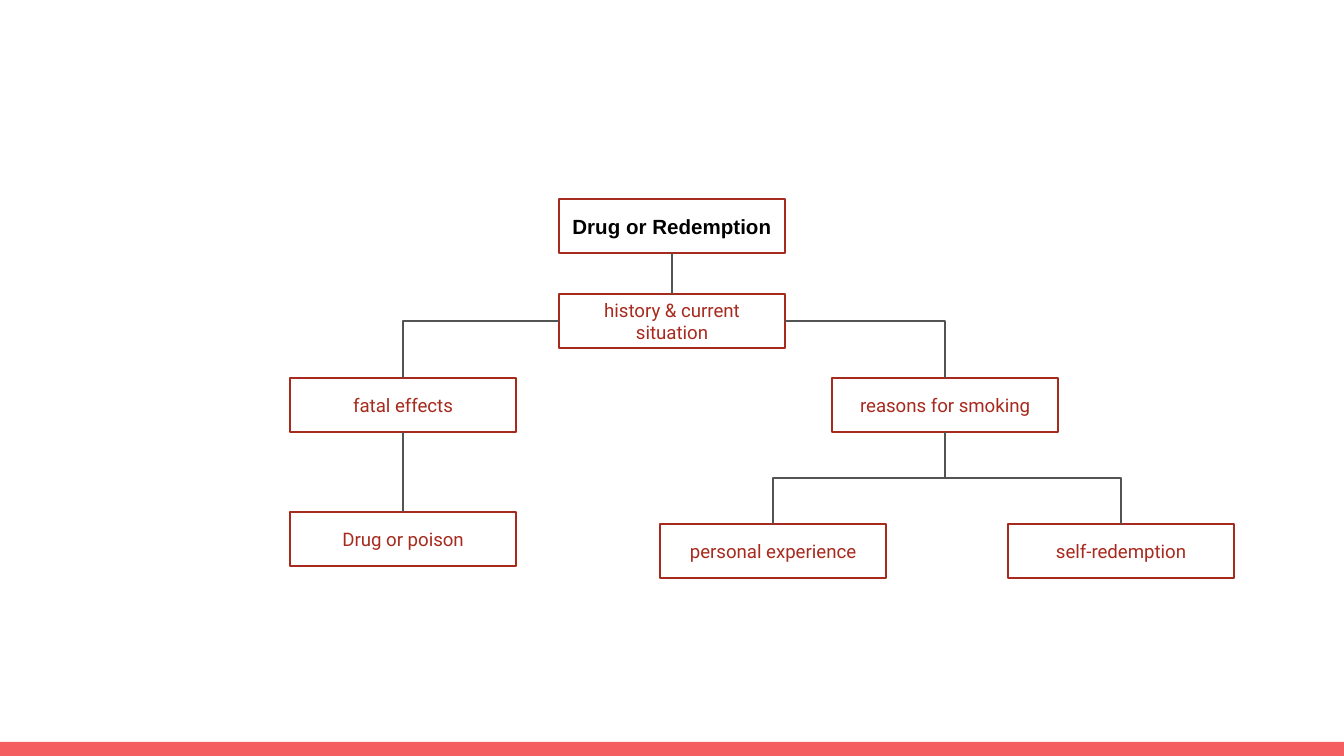
from lxml.etree import SubElement
from pptx import Presentation
from pptx.dml.color import RGBColor
from pptx.enum.shapes import MSO_CONNECTOR, MSO_SHAPE
from pptx.enum.text import MSO_ANCHOR, PP_ALIGN
from pptx.oxml.ns import qn
from pptx.util import Emu, Pt

PAGE_WIDTH, PAGE_HEIGHT = 1344, 756
BOX_WIDTH, BOX_HEIGHT = 226, 54
INSET = 13
FOOTER_HEIGHT = 14
RED, GRAY, CORAL, BLACK = "A72A1E", "535353", "F55E61", "000000"
BOTTOM, TOP = 2, 0


def px(length):
    return Emu(round(length * 914400 / 134.4))


def color(value):
    return RGBColor.from_string(value)


def add_rectangle(page, left, top, width, height):
    shape = page.shapes.add_shape(
        MSO_SHAPE.RECTANGLE, px(left), px(top), px(width), px(height))
    shape.shadow.inherit = False
    return shape


def add_footer(page):
    bar = add_rectangle(page, 0, PAGE_HEIGHT - FOOTER_HEIGHT, PAGE_WIDTH, FOOTER_HEIGHT)
    bar.fill.solid()
    bar.fill.fore_color.rgb = color(CORAL)
    bar.line.fill.background()


def add_box(page, left, top, text, font="Roboto", size=10, ink=RED, bold=False):
    box = add_rectangle(page, left, top, BOX_WIDTH, BOX_HEIGHT)
    box.fill.background()
    box.line.color.rgb = color(RED)
    box.line.width = Pt(1.5)
    frame = box.text_frame
    frame.word_wrap = True
    frame.vertical_anchor = MSO_ANCHOR.MIDDLE
    frame.margin_left = frame.margin_right = px(INSET)
    frame.margin_top = frame.margin_bottom = px(INSET)
    para = frame.paragraphs[0]
    para.alignment = PP_ALIGN.CENTER
    span = para.add_run()
    span.text = text
    span.font.name = font
    span.font.size = Pt(size)
    span.font.bold = bold
    span.font.color.rgb = color(ink)
    return box


def add_line(page, kind, start_x, start_y, end_x, end_y):
    line = page.shapes.add_connector(
        kind, Emu(start_x), Emu(start_y), Emu(end_x), Emu(end_y))
    line.line.color.rgb = color(GRAY)
    line.line.width = Pt(0.75)
    SubElement(line._element.spPr, qn("a:effectLst"))
    return line


def middle_x(box):
    return box.left + box.width // 2


def bottom(box):
    return box.top + box.height


def join_straight(page, parent, child):
    line = add_line(page, MSO_CONNECTOR.STRAIGHT, middle_x(parent), bottom(parent),
                    middle_x(child), child.top)
    line.begin_connect(parent, BOTTOM)
    line.end_connect(child, TOP)


def join_from_side(page, parent, child):
    """Run out of the parent's nearer side, then turn once, down to the child."""
    goes_left = child.left < parent.left
    start_x = parent.left if goes_left else parent.left + parent.width
    line = add_line(page, MSO_CONNECTOR.ELBOW, start_x, parent.top + parent.height // 2,
                    middle_x(child), child.top)
    line._element.spPr.find(qn("a:prstGeom")).set("prst", "bentConnector2")


def join_from_bottom(page, parent, child):
    """Run down, across at half height, and down: an elbow turned a quarter."""
    center_x = (middle_x(parent) + middle_x(child)) // 2
    center_y = (bottom(parent) + child.top) // 2
    half_drop = (child.top - bottom(parent)) // 2
    half_run = abs(middle_x(child) - middle_x(parent)) // 2
    goes_left = child.left < parent.left
    reach = half_drop if goes_left else -half_drop
    line = add_line(page, MSO_CONNECTOR.ELBOW, center_x - reach, center_y - half_run,
                    center_x + reach, center_y + half_run)
    degrees = 90 if goes_left else 270
    line._element.spPr.find(qn("a:xfrm")).set("rot", str(degrees * 60000))


def main():
    deck = Presentation()
    deck.slide_width, deck.slide_height = px(PAGE_WIDTH), px(PAGE_HEIGHT)
    page = deck.slides.add_slide(deck.slide_layouts[6])

    add_footer(page)
    title = add_box(page, 559, 199, "Drug or Redemption", "Arial", 11, BLACK, True)
    history = add_box(page, 559, 294, "history & current situation")
    reasons = add_box(page, 832, 378, "reasons for smoking")
    redemption = add_box(page, 1008, 524, "self-redemption")
    poison = add_box(page, 290, 512, "Drug or poison")
    effects = add_box(page, 290, 378, "fatal effects")
    experience = add_box(page, 660, 524, "personal experience")

    join_straight(page, title, history)
    for child in (effects, reasons):
        join_from_side(page, history, child)
    for child in (experience, redemption):
        join_from_bottom(page, reasons, child)
    join_straight(page, effects, poison)

    deck.save("out.pptx")


if __name__ == "__main__":
    main()
